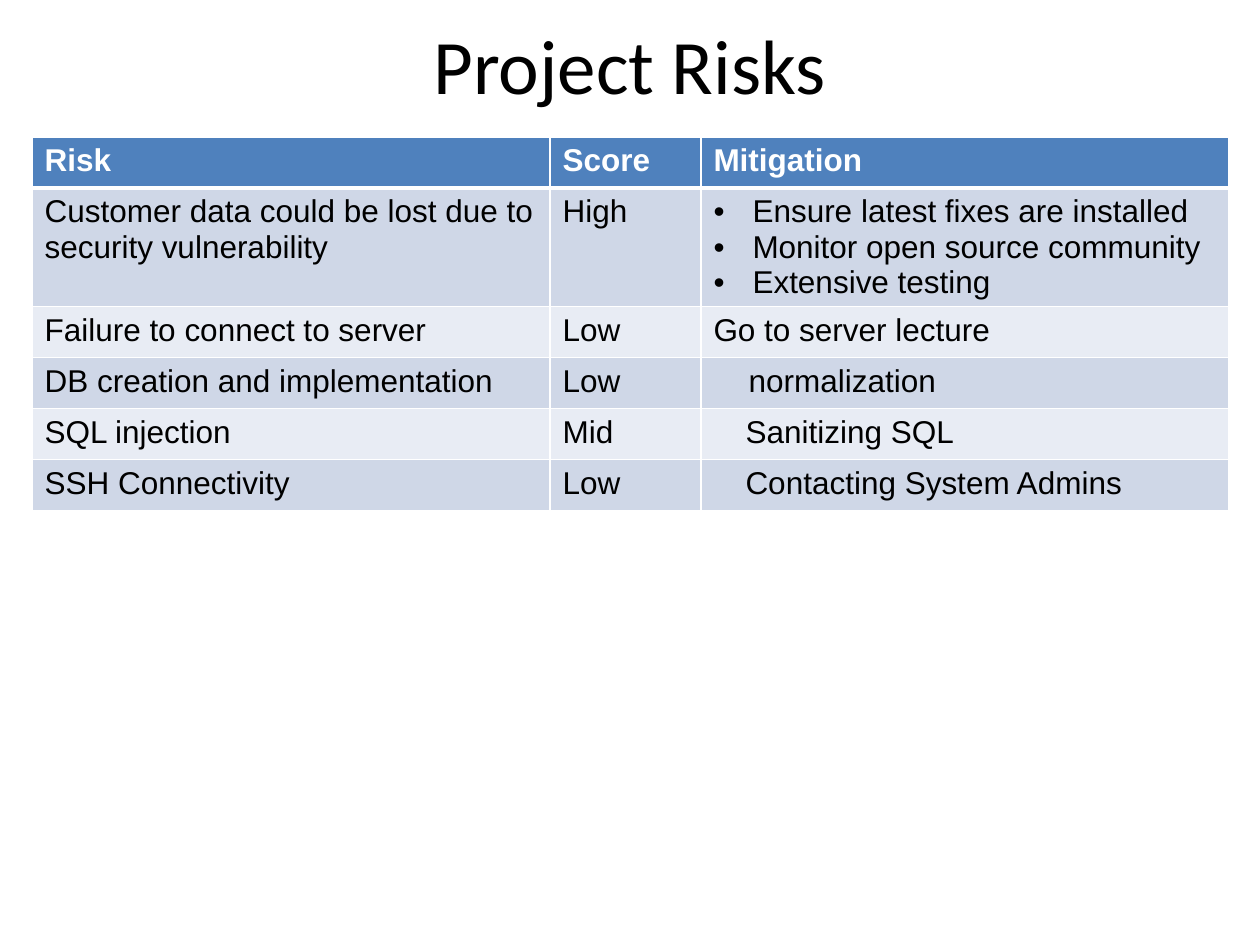
from dataclasses import dataclass

from lxml import etree
from pptx import Presentation
from pptx.dml.color import RGBColor
from pptx.enum.text import MSO_ANCHOR, PP_ALIGN
from pptx.oxml.ns import qn
from pptx.util import Pt

MIDDLE, CENTER = MSO_ANCHOR.MIDDLE, PP_ALIGN.CENTER
TITLE_ONLY = 5

# Content: a mitigation is (lines, left indent in px, bulleted)
TITLE = "Project Risks"
HEADINGS = ("Risk", "Score", "Mitigation")
RISKS = [
    ("Customer data could be lost due to security vulnerability", "High",
     (("Ensure latest fixes are installed", "Monitor open source community",
       "Extensive testing"), 39, True)),
    ("Failure to connect to server", "Low", (("Go to server lecture",), 0, False)),
    ("DB creation and implementation", "Low", (("normalization",), 35, False)),
    ("SQL injection", "Mid", (("Sanitizing SQL",), 32, False)),
    ("SSH Connectivity", "Low", (("Contacting System Admins",), 32, False)),
]

# Layout in px
SLIDE = (1260, 945)
TITLE_BOX = (63, 10, 1134, 108)
TABLE_LEFT, TABLE_TOP = 32, 137
COLUMNS = (518, 151, 528)
ROW, BULLETED_ROW = 51, 118


@dataclass(frozen=True)
class Theme:
    title_font: str = "Calibri"
    body_font: str = "Arial"
    title_size: int = 44
    body_size: int = 18
    text: str = "000000"
    header_text: str = "FFFFFF"
    header_fill: str = "4F81BD"
    bands: tuple = ("CFD7E7", "E8ECF4")
    border: str = "FFFFFF"
    thin: int = 1
    thick: int = 3


THEME = Theme()


def px(length):
    return round(length * 914400 / 126)


def style(paragraph, font, size, color, bold=False):
    paragraph.font.name = font
    paragraph.font.size = Pt(size)
    paragraph.font.bold = bold
    paragraph.font.color.rgb = RGBColor.from_string(color)


def indent(paragraph, left, bulleted):
    properties = paragraph._p.get_or_add_pPr()
    properties.set("marL", str(px(left)))
    properties.set("indent", str(px(-left if bulleted else 0)))
    if bulleted:
        etree.SubElement(properties, qn("a:buFont"), typeface=THEME.body_font)
        etree.SubElement(properties, qn("a:buChar"), char="•")


def add_borders(cell, bottom, top):
    properties = cell._tc.get_or_add_tcPr()
    widths = {"a:lnL": THEME.thin, "a:lnR": THEME.thin, "a:lnT": top, "a:lnB": bottom}
    for tag, width in widths.items():
        line = etree.SubElement(properties, qn(tag), w=str(Pt(width)))
        fill = etree.SubElement(line, qn("a:solidFill"))
        etree.SubElement(fill, qn("a:srgbClr"), val=THEME.border)


def fill_cell(cell, row, content):
    lines, left, bulleted = content if isinstance(content, tuple) else ((content,), 0, False)
    header = row == 0
    add_borders(cell, bottom=THEME.thick if header else THEME.thin,
                top=THEME.thick if row == 1 else THEME.thin)
    cell.fill.solid()
    cell.fill.fore_color.rgb = RGBColor.from_string(
        THEME.header_fill if header else THEME.bands[(row - 1) % 2])
    cell.text = "\n".join(lines)
    for paragraph in cell.text_frame.paragraphs:
        indent(paragraph, left, bulleted)
        style(paragraph, THEME.body_font, THEME.body_size,
              THEME.header_text if header else THEME.text, bold=header)


def add_title(page):
    title = page.shapes.title
    title.left, title.top, title.width, title.height = map(px, TITLE_BOX)
    title.text_frame.text = TITLE
    title.text_frame.vertical_anchor = MIDDLE
    paragraph = title.text_frame.paragraphs[0]
    paragraph.alignment = CENTER
    style(paragraph, THEME.title_font, THEME.title_size, THEME.text)


def add_risk_table(page):
    heights = [ROW] + [BULLETED_ROW if risk[2][2] else ROW for risk in RISKS]
    frame = page.shapes.add_table(
        len(heights), len(COLUMNS), px(TABLE_LEFT), px(TABLE_TOP),
        px(sum(COLUMNS)), px(sum(heights)))
    table = frame.table
    for column, width in zip(table.columns, COLUMNS):
        column.width = px(width)
    for row, (contents, height) in enumerate(zip([HEADINGS] + RISKS, heights)):
        table.rows[row].height = px(height)
        for column, content in enumerate(contents):
            fill_cell(table.cell(row, column), row, content)


def main():
    deck = Presentation()
    deck.slide_width, deck.slide_height = map(px, SLIDE)
    page = deck.slides.add_slide(deck.slide_layouts[TITLE_ONLY])
    add_title(page)
    add_risk_table(page)
    deck.save("out.pptx")


if __name__ == "__main__":
    main()
